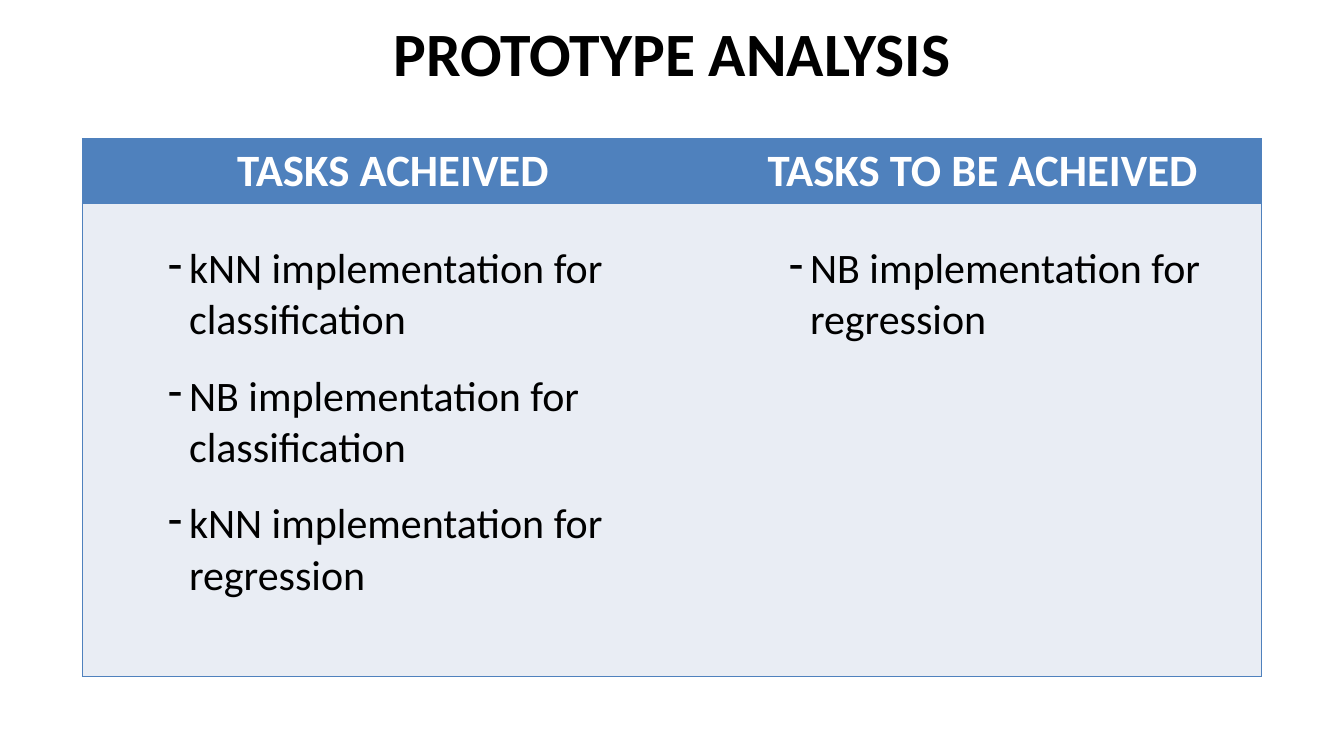
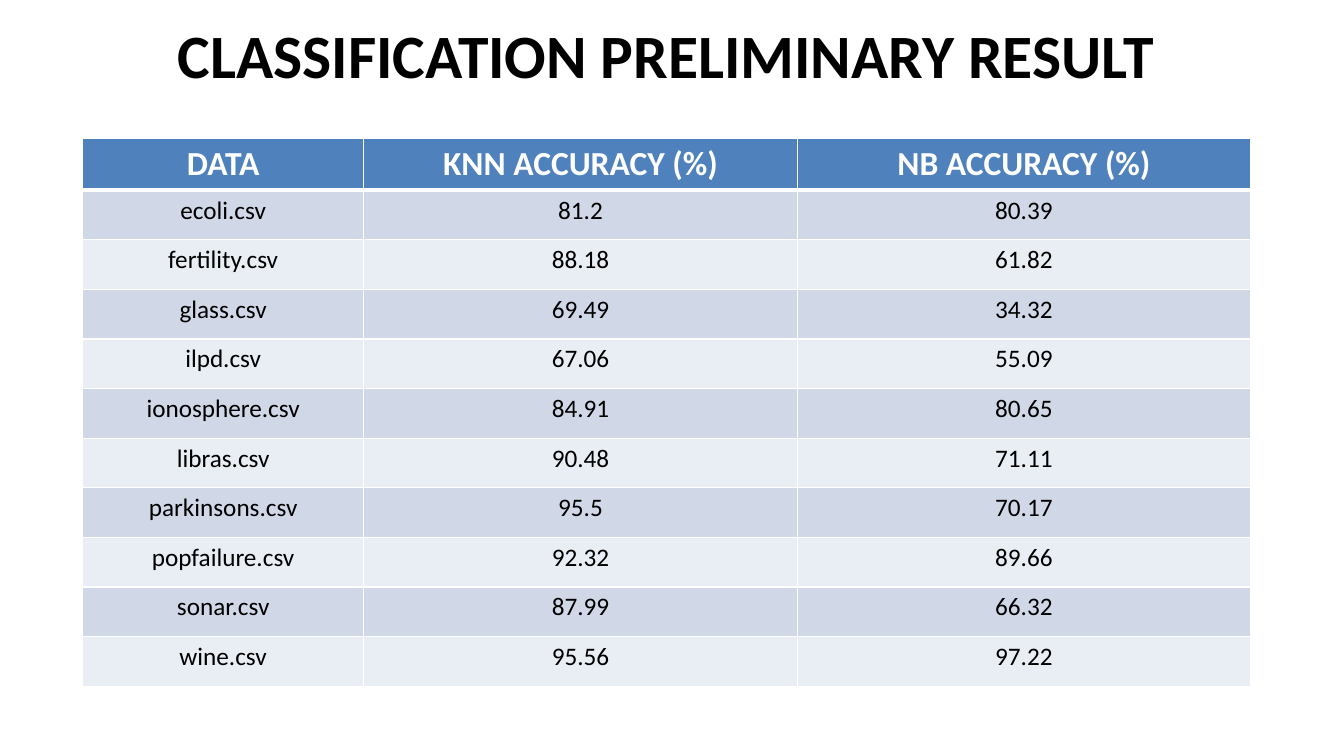
from dataclasses import dataclass

from lxml import etree
from pptx import Presentation, util as u
from pptx.dml.color import RGBColor
from pptx.enum import text as t
from pptx.oxml.ns import qn


@dataclass(frozen=True)
class Theme:
    font: str = "Calibri"
    ink: str = "000000"
    white: str = "FFFFFF"
    blue: str = "4F81BD"
    dark: str = "D0D8E8"
    pale: str = "E9EDF4"
    title: int = 44
    task_head: int = 32
    task: int = 30
    data_head: int = 24
    data: int = 18


THEME = Theme()
LEFT, TOP = 2.08, 3.5

# Content: column heading and its tasks
TASKS = [
    ("TASKS ACHEIVED", ["kNN implementation for classification",
                        "NB implementation for classification",
                        "kNN implementation for regression"]),
    ("TASKS TO BE ACHEIVED", ["NB implementation for regression"]),
]
HEADS = ["DATA", "KNN ACCURACY (%)", "NB ACCURACY (%)"]
SCORES = [
    ("ecoli.csv", "81.2", "80.39"),
    ("fertility.csv", "88.18", "61.82"),
    ("glass.csv", "69.49", "34.32"),
    ("ilpd.csv", "67.06", "55.09"),
    ("ionosphere.csv", "84.91", "80.65"),
    ("libras.csv", "90.48", "71.11"),
    ("parkinsons.csv", "95.5", "70.17"),
    ("popfailure.csv", "92.32", "89.66"),
    ("sonar.csv", "87.99", "66.32"),
    ("wine.csv", "95.56", "97.22"),
]


# Shared helpers
def style(frame, size, color, bold=False, align=t.PP_ALIGN.CENTER):
    for para in frame.paragraphs:
        para.alignment = align
        for run in para.runs:
            font = run.font
            font.name, font.size, font.bold = THEME.font, u.Pt(size), bold
            font.color.rgb = RGBColor.from_string(color)


def add_slide(deck, title, width, height):
    slide = deck.slides.add_slide(deck.slide_layouts[5])
    box = slide.shapes.title
    box.left, box.top = u.Cm(LEFT), u.Cm(0)
    box.width, box.height = u.Cm(width), u.Cm(height)
    frame = box.text_frame
    frame.text = title
    frame.vertical_anchor = t.MSO_ANCHOR.MIDDLE
    style(frame, THEME.title, THEME.ink, bold=True)
    return slide


def add_grid(slide, cols, rows):
    grid = slide.shapes.add_table(len(rows), len(cols), u.Cm(LEFT), u.Cm(TOP),
                                  u.Cm(sum(cols)), u.Cm(sum(rows))).table
    for col, width in zip(grid.columns, cols):
        col.width = u.Cm(width)
    for row, height in zip(grid.rows, rows):
        row.height = u.Cm(height)
    return grid


def paint(cell, fill, edges):
    """Give a cell its fill and edges: side -> (colour, points), or no line."""
    props = cell._tc.get_or_add_tcPr()
    for side in "LRTB":
        line = etree.SubElement(props, qn(f"a:ln{side}"))
        if side in edges:
            color, width = edges[side]
            line.set("w", str(u.Pt(width)))
            solid = etree.SubElement(line, qn("a:solidFill"))
            etree.SubElement(solid, qn("a:srgbClr"), val=color)
        else:
            etree.SubElement(line, qn("a:noFill"))
    cell.fill.solid()
    cell.fill.fore_color.rgb = RGBColor.from_string(fill)


def add_bullets(cell, items):
    frame = cell.text_frame
    frame.text = "\n".join(items)
    style(frame, THEME.task, THEME.ink, align=t.PP_ALIGN.LEFT)
    for i, para in enumerate(frame.paragraphs):
        para.space_before = u.Pt(18 if i else 0)
        props = para._p.get_or_add_pPr()
        props.set("marL", str(u.Cm(2.43)))
        props.set("indent", str(u.Cm(-0.53)))
        etree.SubElement(props, qn("a:buChar"), char="-")


# Slides
def task_slide(deck):
    slide = add_slide(deck, "PROTOTYPE ANALYSIS", 29.72, 2.6)
    grid = add_grid(slide, [15.65, 14.07], [1.6, 11.91])
    rim = (THEME.blue, 1)
    for c, (head, items) in enumerate(TASKS):
        side = "R" if c else "L"
        top, body = grid.cell(0, c), grid.cell(1, c)
        paint(top, THEME.blue, {side: rim, "T": rim, "B": rim})
        paint(body, THEME.pale, {side: rim, "T": rim, "B": rim})
        top.text_frame.text = head
        style(top.text_frame, THEME.task_head, THEME.white, bold=True)
        body.margin_top = u.Cm(1)
        add_bullets(body, items)


def score_slide(deck):
    slide = add_slide(deck, "CLASSIFICATION PRELIMINARY RESULT", 29.44, 2.72)
    grid = add_grid(slide, [7.09, 10.92, 11.43], [1.29] + [1.25] * len(SCORES))
    thin, thick = (THEME.white, 1), (THEME.white, 3)
    for r, row in enumerate([HEADS] + SCORES):
        head = r == 0
        fill = THEME.blue if head else THEME.dark if r % 2 else THEME.pale
        edges = dict.fromkeys("LRTB", thin)
        if head:
            edges["B"] = thick
        elif r == 1:
            edges["T"] = thick
        for c, value in enumerate(row):
            cell = grid.cell(r, c)
            paint(cell, fill, edges)
            cell.text_frame.text = value
            style(cell.text_frame, THEME.data_head if head else THEME.data,
                  THEME.white if head else THEME.ink, bold=head)


def main():
    deck = Presentation()
    deck.slide_width, deck.slide_height = u.Cm(33.87), u.Cm(19.05)
    task_slide(deck)
    score_slide(deck)
    deck.save("out.pptx")


if __name__ == "__main__":
    main()
